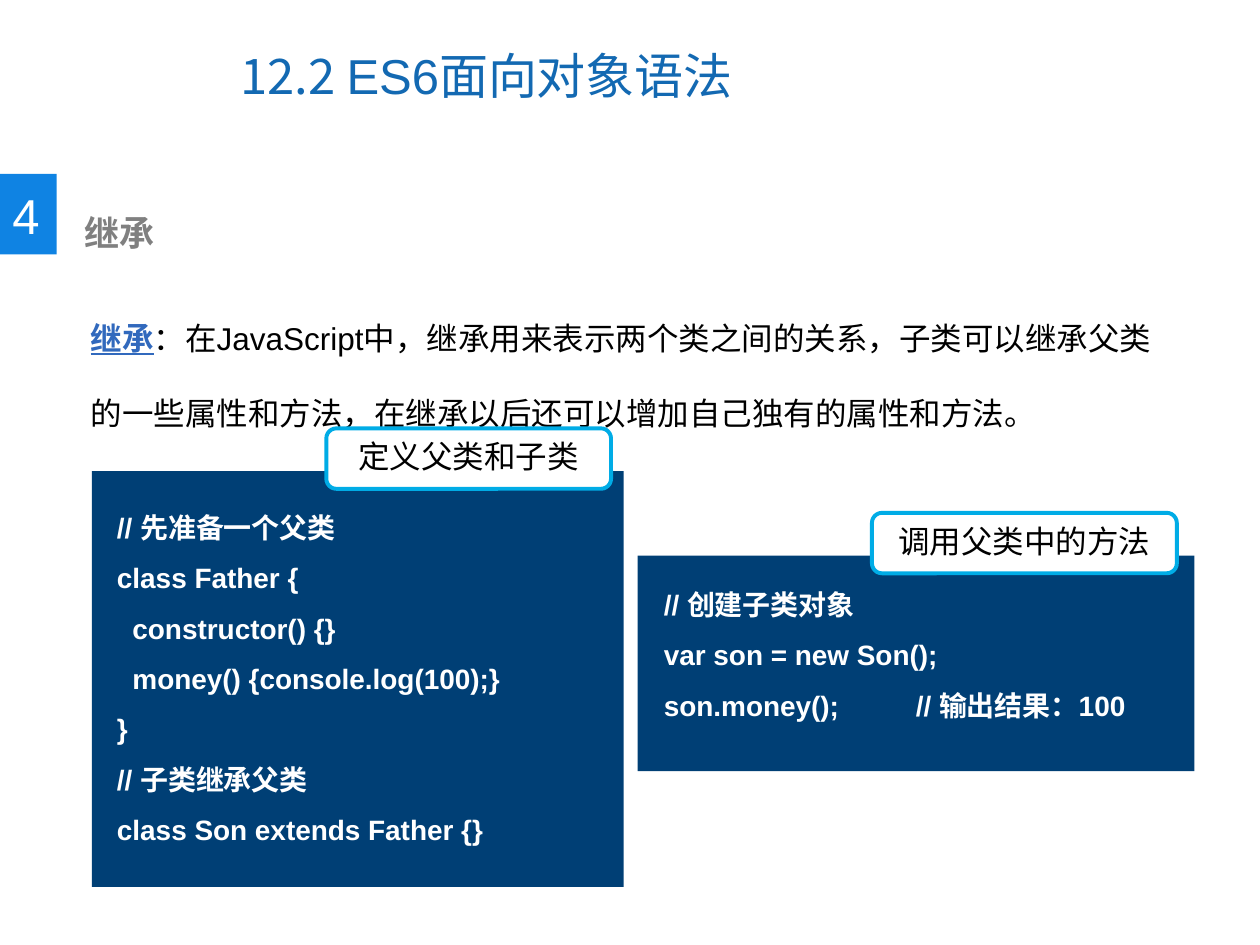
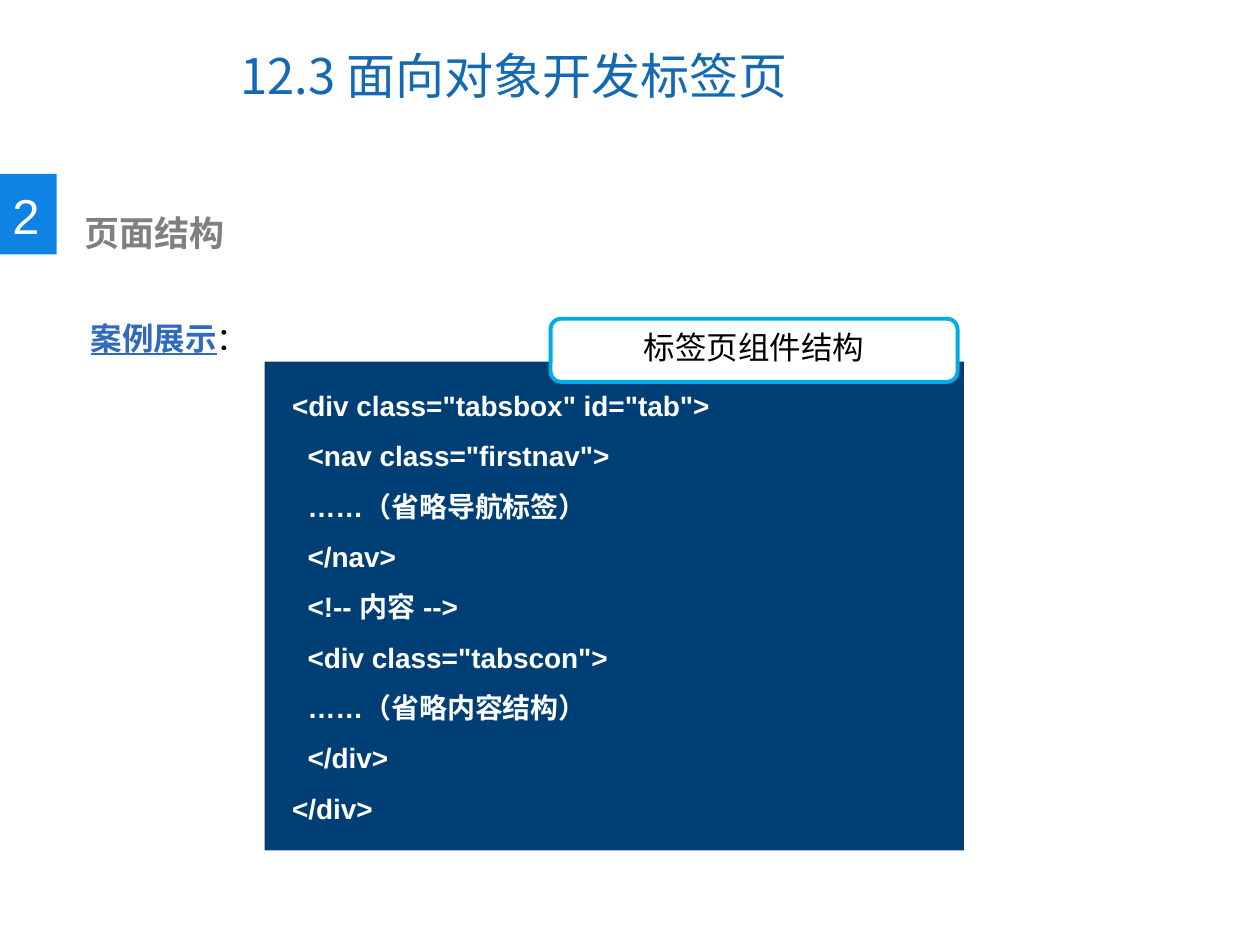
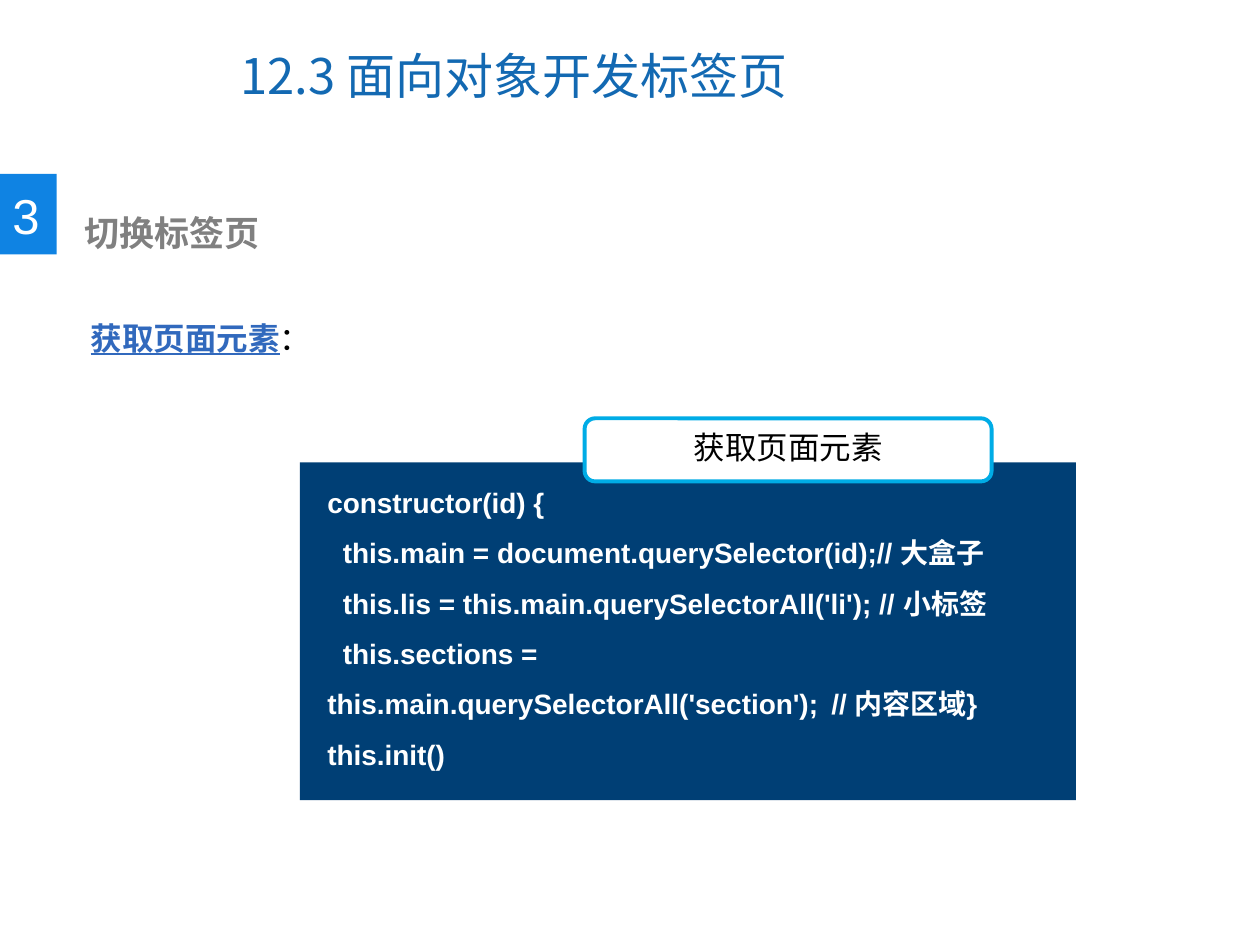
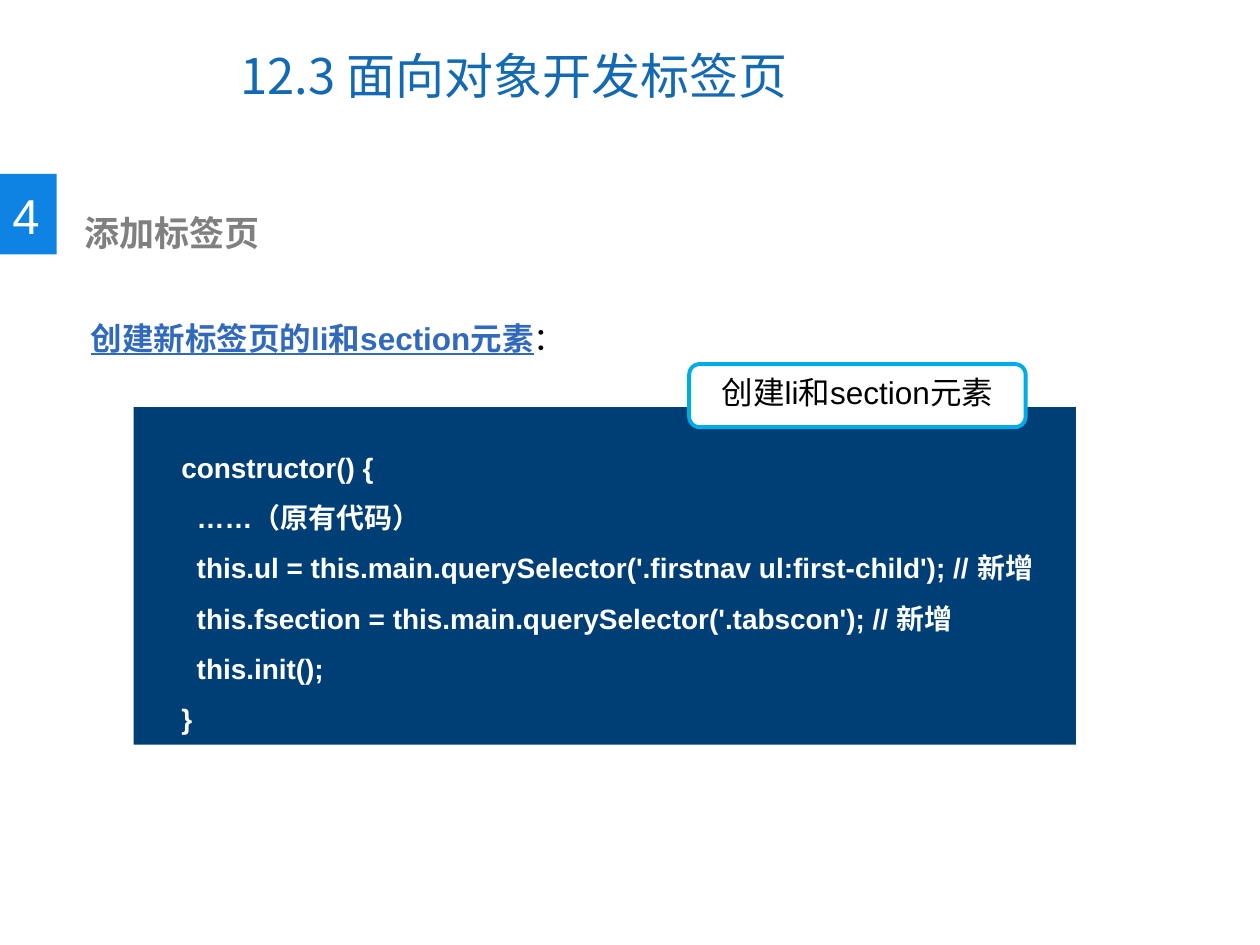
from lxml.etree import SubElement as Sub
from pptx import Presentation
from pptx.dml.color import RGBColor as Rgb
from pptx.enum.shapes import MSO_SHAPE as Kind
from pptx.enum.text import MSO_ANCHOR as Anchor, MSO_AUTO_SIZE as Fit, PP_ALIGN as Align
from pptx.oxml.ns import qn
from pptx.util import Inches, Pt

INK = {"title": "1369B2", "badge": "0F83E3", "code": "003F75", "edge": "00ACE6",
       "head": "808080", "key": "3169BD", "text": "000000", "white": "FFFFFF"}
SANS, HAN = "Arial", "Noto Sans CJK SC"
FORM = {
    "title": ("title", {"name": HAN, "size": Pt(28), "bold": False}),
    "latin": ("title", {"name": SANS, "size": Pt(28), "bold": False}),
    "badge": ("white", {"name": SANS, "size": Pt(28)}),
    "head": ("head", {"name": HAN, "size": Pt(20), "bold": True}),
    "key": ("key", {"name": SANS, "size": Pt(18), "bold": True, "underline": True}),
    "text": ("text", {"name": SANS, "size": Pt(18)}),
    "code": ("white", {"name": SANS, "size": Pt(16), "bold": True}),
}
TABS = [2, 4]
TABBED = [("12.3 面向对象开发标签页", "title")]

PAGES = [
    {"title": [("12.2 ", "title"), ("ES6", "latin"), ("面向对象语法", "title")],
     "num": "4", "head": "继承", "key": "继承", "tall": 17.47,
     "lead": "：在JavaScript中，继承用来表示两个类之间的关系，子类可以继承父类的一些属性和方法，"
             "在继承以后还可以增加自己独有的属性和方法。",
     "cards": [
         {"back": (7.3, 49.87, 42.2, 44), "area": (8.3, 51.6, 41.1, 35.87),
          "tag": (25.9, 45.33, 22.6, 6.4), "name": "定义父类和子类",
          "code": """// 先准备一个父类
class Father {
  constructor() {}
  money() {console.log(100);}
}
// 子类继承父类
class Son extends Father {}"""},
         {"back": (50.6, 58.8, 44.2, 22.8), "area": (51.7, 59.73, 43.1, 8),
          "tag": (69.2, 54.27, 24.2, 6.4), "name": "调用父类中的方法",
          "code": """// 创建子类对象
var son = new Son();
son.money();\t// 输出结果：100"""}]},
    {"title": TABBED, "num": "2", "head": "页面结构", "key": "案例展示",
     "tall": 8.13, "lead": "：",
     "cards": [
         {"back": (21, 38.27, 55.5, 51.73), "area": (22.2, 38.67, 54.3, 49.87),
          "tag": (43.7, 33.73, 32.3, 6.67), "name": "标签页组件结构",
          "code": """<div class="tabsbox" id="tab">
  <nav class="firstnav">
  ……（省略导航标签）
  </nav>
  <!-- 内容 -->
  <div class="tabscon">
  ……（省略内容结构）
  </div>
</div>"""}]},
    {"title": TABBED, "num": "3", "head": "切换标签页", "key": "获取页面元素",
     "tall": 8.13, "lead": "：",
     "cards": [
         {"back": (23.8, 48.93, 61.6, 35.73), "area": (25, 48.93, 56.7, 33.6),
          "tag": (46.4, 44.27, 32.3, 6.67), "name": "获取页面元素",
          "code": """constructor(id) {
  this.main = document.querySelector(id);// 大盒子
  this.lis = this.main.querySelectorAll('li'); // 小标签
  this.sections = this.main.querySelectorAll('section');\t// 内容区域}
this.init()"""}]},
    {"title": TABBED, "num": "4", "head": "添加标签页", "key": "创建新标签页的li和section元素",
     "tall": 9.47, "lead": "：",
     "cards": [
         {"back": (10.6, 43.07, 74.8, 35.73), "area": (13.4, 45.2, 73.9, 33.6),
          "tag": (54.7, 38.53, 26.7, 6.67), "name": "创建li和section元素",
          "code": """constructor() {
  ……（原有代码）
  this.ul = this.main.querySelector('.firstnav ul:first-child'); // 新增
  this.fsection = this.main.querySelector('.tabscon'); // 新增
  this.init();
}"""}]},
]

deck = Presentation()
deck.slide_width, deck.slide_height = Inches(10), Inches(7.5)


def place(x, y, w, h):
    wide, high = deck.slide_width / 100, deck.slide_height / 100
    return [round(n) for n in (x * wide, y * high, w * wide, h * high)]


def write(shape, rows, gap=1.0, side=Align.LEFT, **frame):
    body = shape.text_frame
    for name, value in {"word_wrap": True, "auto_size": Fit.NONE,
                        "vertical_anchor": Anchor.TOP, **frame}.items():
        setattr(body, name, value)
    for i, row in enumerate(rows):
        par = body.paragraphs[0] if i == 0 else body.add_paragraph()
        par.alignment, par.line_spacing, par.space_before = side, gap, Pt(0)
        for text, form in row:
            run = par.add_run()
            run.text = text
            tone, font = FORM[form]
            for name, value in font.items():
                setattr(run.font, name, value)
            run.font.color.rgb = Rgb.from_string(INK[tone])
            prop = run._r.get_or_add_rPr()
            prop.set("lang", "zh-CN")
            Sub(prop, qn("a:ea"), typeface=font["name"])
    return body.paragraphs


for page in PAGES:
    slide = deck.slides.add_slide(deck.slide_layouts[1])
    shapes = slide.shapes
    title, lead = slide.placeholders
    title.left, title.top, title.width, title.height = place(18.1, 2.27, 51.6, 11.33)
    write(title, [page["title"]], vertical_anchor=Anchor.MIDDLE)
    lead.left, lead.top, lead.width, lead.height = place(6.2, 29.07, 86.5, page["tall"])
    for par in write(lead, [[(page["key"], "key"), (page["lead"], "text")]], 2.0):
        prop = par._p.get_or_add_pPr()
        prop.set("marL", "0")
        prop.set("indent", "0")
        Sub(prop, qn("a:buNone"))

    badge = shapes.add_shape(Kind.RECTANGLE, *place(0, 18.4, 4.5, 8.53))
    solid = [(badge, "badge")]
    num = shapes.add_textbox(*place(0, 18.93, 4.2, 7.6))
    write(num, [[(page["num"], "badge")]], word_wrap=False)
    head = shapes.add_textbox(*place(4.7, 21.73, 51.4, 5.87))
    write(head, [[(page["head"], "head")]], margin_left=Inches(0.2))

    for card in page["cards"]:
        back = shapes.add_shape(Kind.RECTANGLE, *place(*card["back"]))
        area = shapes.add_textbox(*place(*card["area"]))
        rows = [[(line, "code")] for line in card["code"].split("\n")]
        for par in write(area, rows, 1.5):
            stops = Sub(par._p.get_or_add_pPr(), qn("a:tabLst"))
            for stop in TABS:
                Sub(stops, qn("a:tab"), pos=str(Inches(stop)), algn="l")
        tag = shapes.add_shape(Kind.ROUNDED_RECTANGLE, *place(*card["tag"]))
        write(tag, [[(card["name"], "text")]], side=Align.CENTER)
        solid += [(back, "code"), (tag, "white")]

    for shape, tone in solid:
        shape.shadow.inherit = False
        shape.fill.solid()
        shape.fill.fore_color.rgb = Rgb.from_string(INK[tone])
        if tone == "white":
            shape.line.color.rgb = Rgb.from_string(INK["edge"])
            shape.line.width = Pt(2.25)
        else:
            shape.line.fill.background()

deck.save("out.pptx")
